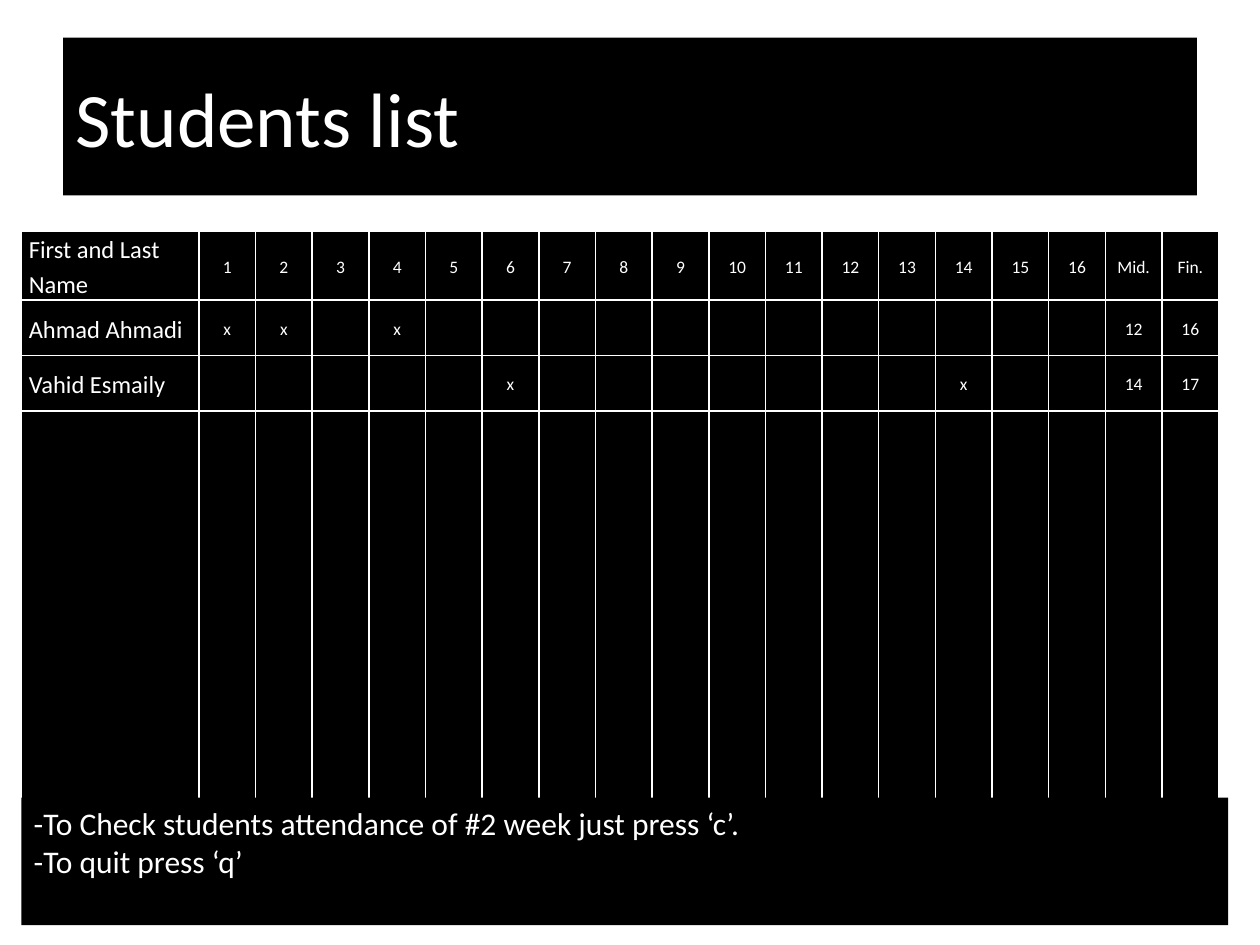
from dataclasses import dataclass

from lxml.etree import SubElement
from pptx import Presentation
from pptx.dml.color import RGBColor
from pptx.enum.shapes import MSO_SHAPE as Shape
from pptx.enum.text import MSO_ANCHOR as Anchor, PP_ALIGN as Align
from pptx.oxml.ns import qn
from pptx.util import Cm, Pt


@dataclass(frozen=True)
class Theme:
    """Colours, font and type sizes of the slide."""
    ink: str = "FFFFFF"
    panel: str = "000000"
    font: str = "Calibri"
    title: int = 44
    note: int = 18
    name: int = 14
    mark: int = 10
    border: int = 1


THEME = Theme()
WEEKS = range(1, 17)
HEADER = ["First and Last Name", *map(str, WEEKS), "Mid.", "Fin."]
STUDENTS = [
    ("Ahmad Ahmadi", {1, 2, 4}, "12", "16"),
    ("Vahid Esmaily", {6, 14}, "14", "17"),
]
NOTES = ["-To Check students attendance of #2 week just press ‘c’.", "-To quit press ‘q’"]


def paint(fill):
    """Fill with the panel colour."""
    fill.solid()
    fill.fore_color.rgb = RGBColor.from_string(THEME.panel)


def format_paragraph(paragraph, size, align=Align.LEFT):
    """Set the alignment and font of a paragraph."""
    paragraph.alignment = align
    paragraph.font.name = THEME.font
    paragraph.font.size = Pt(size)
    paragraph.font.color.rgb = RGBColor.from_string(THEME.ink)


def place(shape, box):
    """Move and size a shape to a box."""
    shape.left, shape.top, shape.width, shape.height = map(Cm, box)


def add_title(slide, box):
    """Format the title placeholder as a filled banner."""
    title = slide.shapes.title
    place(title, box)
    paint(title.fill)
    title.text_frame.text = "Students list"
    title.text_frame.vertical_anchor = Anchor.MIDDLE
    format_paragraph(title.text_frame.paragraphs[0], THEME.title)


def add_borders(cell):
    """Draw the four borders of a cell, ahead of its fill."""
    properties = cell._tc.get_or_add_tcPr()
    for index, side in enumerate(("lnL", "lnR", "lnT", "lnB")):
        line = SubElement(properties, qn(f"a:{side}"), w=str(Pt(THEME.border)))
        fill = SubElement(line, qn("a:solidFill"))
        SubElement(fill, qn("a:srgbClr"), val=THEME.ink)
        properties.insert(index, line)


def format_cell(cell, text, size, align):
    """Write one cell of the list."""
    cell.text = text
    cell.vertical_anchor = Anchor.MIDDLE
    cell.margin_left = cell.margin_right = Cm(0.15)
    cell.margin_top = cell.margin_bottom = 0
    paragraph = cell.text_frame.paragraphs[0]
    paragraph.line_spacing = 1.15
    format_paragraph(paragraph, size, align)
    paint(cell.fill)
    add_borders(cell)


def add_attendance(slide, box):
    """Add the attendance table, its last row filling the box."""
    rows = [HEADER]
    for name, weeks, midterm, final in STUDENTS:
        marks = ["x" if week in weeks else "" for week in WEEKS]
        rows.append([name, *marks, midterm, final])
    rows.append([""] * len(HEADER))
    left, top, width, height = box
    name_width, row_height = 3.58, 1.12
    mark_width = (width - name_width) / (len(HEADER) - 1)
    table = slide.shapes.add_table(len(rows), len(HEADER), *map(Cm, box)).table
    for index, column in enumerate(table.columns):
        column.width = Cm(mark_width if index else name_width)
    for row in table.rows:
        row.height = Cm(row_height)
    table.rows[len(rows) - 1].height = Cm(height - row_height * (len(rows) - 1))
    for row_index, row in enumerate(rows):
        for index, text in enumerate(row):
            size, align = (THEME.mark, Align.CENTER) if index else (THEME.name, Align.LEFT)
            format_cell(table.cell(row_index, index), text, size, align)


def add_notes(slide, box):
    """Add the panel of key commands."""
    panel = slide.shapes.add_shape(Shape.RECTANGLE, *map(Cm, box))
    panel.shadow.inherit = False
    paint(panel.fill)
    panel.line.fill.background()
    frame = panel.text_frame
    frame.word_wrap = True
    frame.vertical_anchor = Anchor.TOP
    frame.text = "\n".join(NOTES)
    for paragraph in frame.paragraphs:
        format_paragraph(paragraph, THEME.note)


def build():
    """Build and save the slide."""
    presentation = Presentation()
    presentation.slide_width, presentation.slide_height = Cm(25.4), Cm(19.05)
    slide = presentation.slides.add_slide(presentation.slide_layouts[5])
    add_title(slide, (1.27, 0.76, 22.86, 3.18))
    add_attendance(slide, (0.43, 4.66, 24.15, 11.2))
    add_notes(slide, (0.43, 16.08, 24.33, 2.57))
    presentation.save("out.pptx")


build()
